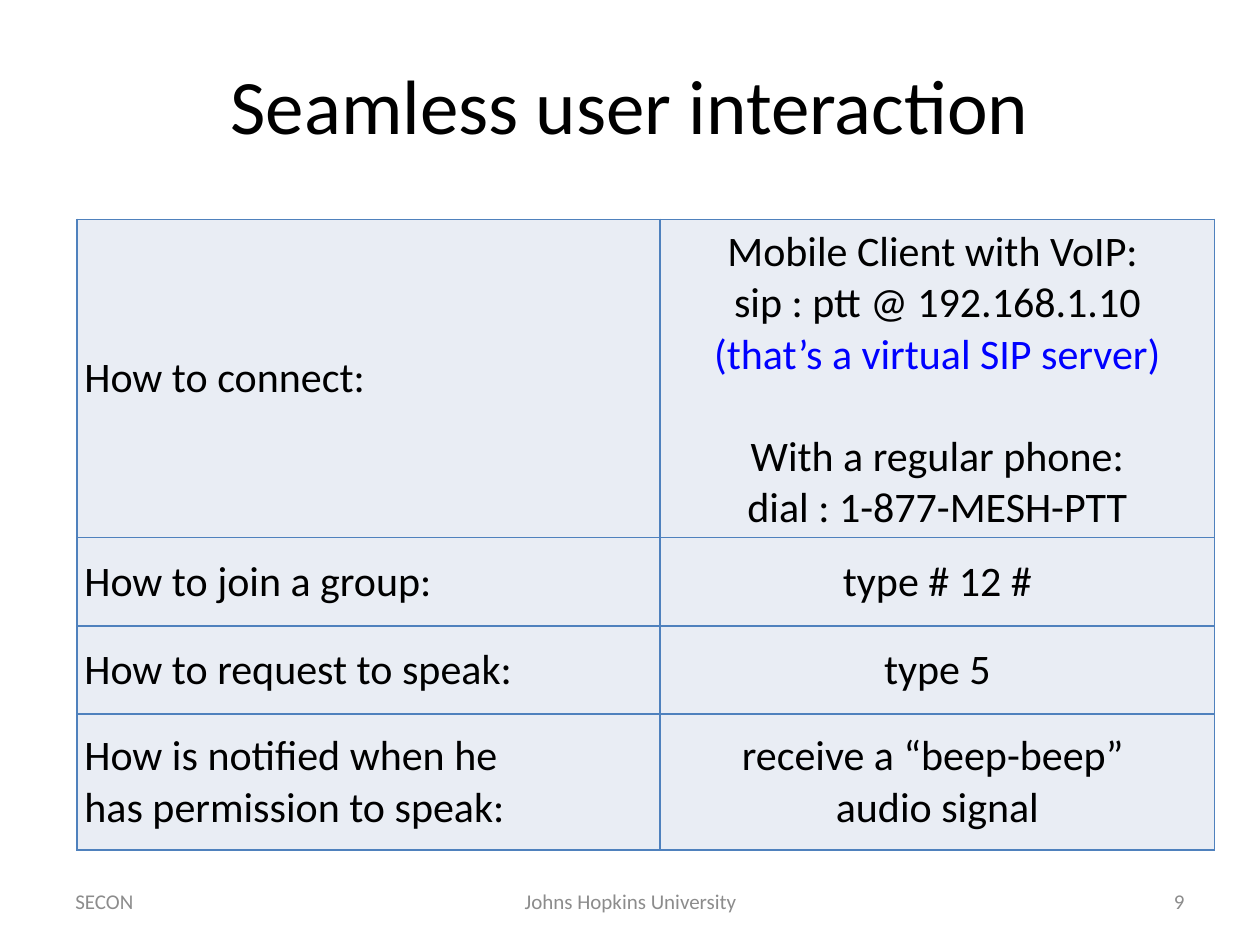
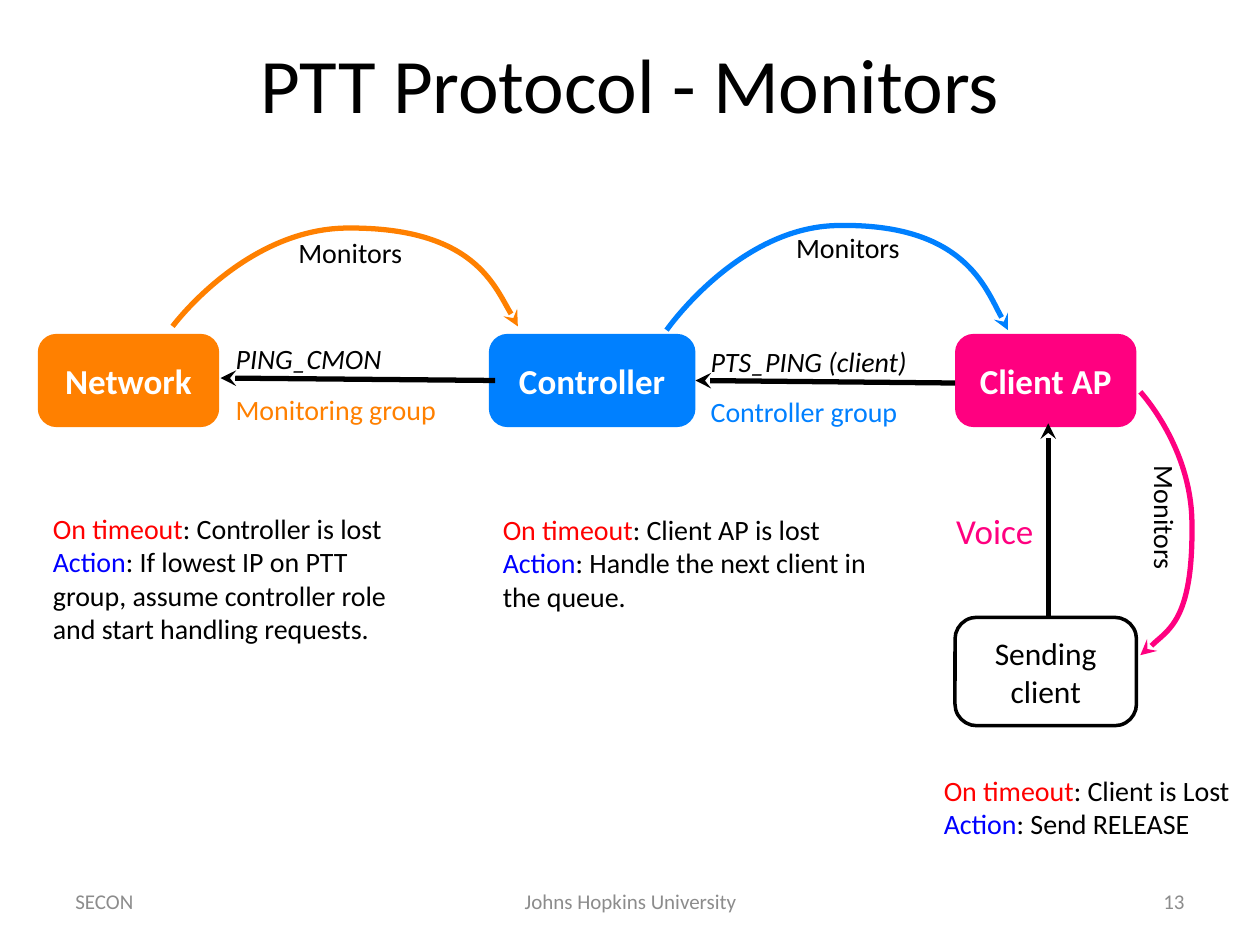
"""Build two slides on push-to-talk user interaction and protocol monitors."""
from lxml import etree
from pptx import Presentation
from pptx.dml.color import RGBColor
from pptx.enum import shapes, text
from pptx.oxml import ns
from pptx.util import Inches, Pt

COLORS = {
    "black": "000000", "white": "FFFFFF", "grey": "8C8C8C", "red": "FF0000",
    "blue": "0000FF", "network": "FF8000", "controller": "0080FF",
    "client": "FF0080", "cell": "E9EDF4", "border": "4F81BD",
}
LEFT, CENTER, RIGHT = text.PP_ALIGN.LEFT, text.PP_ALIGN.CENTER, text.PP_ALIGN.RIGHT
MIDDLE, TOP = text.MSO_ANCHOR.MIDDLE, text.MSO_ANCHOR.TOP


def rgb(name):
    return RGBColor.from_string(COLORS[name])


def inches(*values):
    return [Inches(value) for value in values]


class Deck:
    """Hold the shared style and the current slide."""

    font = "Calibri"

    def __init__(self):
        self.prs = Presentation()
        self.prs.slide_width, self.prs.slide_height = inches(10, 7.5)
        self.slide = None

    def new_slide(self, title, title_height, number):
        self.slide = self.prs.slides.add_slide(self.prs.slide_layouts[5])
        heading = self.slide.shapes.title
        heading.left, heading.top, heading.width, heading.height = inches(0.5, 0.2, 9, title_height)
        heading.text_frame.vertical_anchor = MIDDLE
        self.add_text(heading.text_frame, [[(title, "black")]], 44, CENTER)
        for words, left, width, align in (("SECON", 0.5, 2.33, LEFT),
                                          ("Johns Hopkins University", 3.42, 3.17, CENTER),
                                          (str(number), 7.17, 2.33, RIGHT)):
            self.label([[(words, "grey")]], (left, 6.95, width, 0.4), 12, align, inset=None)

    def add_text(self, frame, paragraphs, size, align=LEFT, bold=False, spacing=None):
        for index, runs in enumerate(paragraphs):
            paragraph = frame.paragraphs[0] if index == 0 else frame.add_paragraph()
            paragraph.alignment = align
            if spacing:
                paragraph.line_spacing = spacing
            for words, color, *italic in runs:
                for part, line in enumerate(words.split("\n")):
                    if part:
                        paragraph.add_line_break()
                    run = paragraph.add_run()
                    run.text = line
                    run.font.name, run.font.size = self.font, Pt(size)
                    run.font.bold, run.font.italic = bold, bool(italic)
                    run.font.color.rgb = rgb(color)

    def set_insets(self, frame, inset):
        frame.margin_left = frame.margin_right = Inches(inset)
        frame.margin_top = frame.margin_bottom = Inches(inset)

    def label(self, paragraphs, place, size=16, align=LEFT, inset=0, spacing=None):
        box = self.slide.shapes.add_textbox(*inches(*place))
        frame = box.text_frame
        frame.word_wrap, frame.vertical_anchor = True, MIDDLE
        if inset is not None:
            self.set_insets(frame, inset)
        self.add_text(frame, paragraphs, size, align, spacing=spacing)
        return box

    def monitors(self, left, top, rotation=0):
        box = self.label([[("Monitors", "black")]], (left, top, 1.03, 0.37), inset=None)
        box.text_frame.word_wrap, box.text_frame.vertical_anchor = False, TOP
        box.text_frame.auto_size = text.MSO_AUTO_SIZE.SHAPE_TO_FIT_TEXT
        box.rotation = rotation

    def timeout(self, lost, action, place):
        self.label([[("On timeout", "red"), (f": {lost}", "black")],
                    [("Action", "blue"), (f": {action}", "black")]], place, inset=0.24)

    def node(self, lines, place, fill=None):
        node = self.slide.shapes.add_shape(shapes.MSO_SHAPE.ROUNDED_RECTANGLE, *inches(*place))
        node.shadow.inherit = False
        node.adjustments[0] = 0.2
        if fill:
            node.fill.solid()
            node.fill.fore_color.rgb = rgb(fill)
            node.line.fill.background()
        else:
            node.fill.background()
            node.line.color.rgb, node.line.width = rgb("black"), Pt(2)
        node.text_frame.vertical_anchor = MIDDLE
        self.set_insets(node.text_frame, 0)
        color, size = ("white", 20) if fill else ("black", 18)
        self.add_text(node.text_frame, [[(line, color)] for line in lines], size, CENTER,
                      bold=bool(fill))

    def stroke(self, shape, color, end):
        shape.line.color.rgb, shape.line.width = rgb(color), Pt(3)
        outline = shape._element.spPr.find(ns.qn("a:ln"))
        etree.SubElement(outline, ns.qn(f"a:{end}"), type="stealth")

    def arrow(self, head, start):
        arrow = self.slide.shapes.add_connector(
            shapes.MSO_CONNECTOR.STRAIGHT, *inches(*head, *start))
        self.stroke(arrow, "black", "headEnd")
        etree.SubElement(arrow._element.spPr, ns.qn("a:effectLst"))

    def curve(self, start, crest_control, crest, fall_control, end, color):
        builder = self.slide.shapes.build_freeform(*inches(*start))
        points = (start, crest_control, crest, fall_control, end, end)
        builder.add_line_segments([inches(*point) for point in points], close=False)
        curve = builder.convert_to_shape()
        curve.shadow.inherit = False
        curve.fill.background()
        self.stroke(curve, color, "tailEnd")
        outline = curve._element.find(".//" + ns.qn("a:path"))
        segments = outline.findall(ns.qn("a:lnTo"))
        for first in (0, 3):
            bezier = etree.SubElement(outline, ns.qn("a:cubicBezTo"))
            for segment in segments[first:first + 3]:
                bezier.append(segment[0])
                outline.remove(segment)

    def table(self, rows, place, widths, heights):
        table = self.slide.shapes.add_table(len(rows), len(widths), *inches(*place)).table
        table.first_row = table.horz_banding = False
        for column, width in zip(table.columns, widths):
            column.width = Inches(width)
        for row, height, contents in zip(table.rows, heights, rows):
            row.height = Inches(height)
            for cell, paragraphs, align in zip(row.cells, contents, (LEFT, CENTER)):
                self.set_insets(cell, 0.06)
                cell.vertical_anchor = MIDDLE
                cell.fill.solid()
                cell.fill.fore_color.rgb = rgb("cell")
                self.add_text(cell.text_frame, paragraphs, 24, align)
                self.cell_borders(cell)
        return table

    def cell_borders(self, cell):
        properties = cell._tc.get_or_add_tcPr()
        for index, side in enumerate("LRTB"):
            border = etree.Element(ns.qn(f"a:ln{side}"), w=str(Pt(1)))
            fill = etree.SubElement(border, ns.qn("a:solidFill"))
            etree.SubElement(fill, ns.qn("a:srgbClr"), val=COLORS["border"])
            properties.insert(index, border)


def interaction_slide(deck):
    deck.new_slide("Seamless user interaction", 1.25, 9)
    connect = [[("Mobile Client with VoIP: ", "black")],
               [("sip : ptt @ 192.168.1.10", "black")],
               [("(that’s a virtual SIP server)", "blue")],
               [("With a regular phone:", "black")],
               [("dial : 1-877-MESH-PTT", "black")]]
    steps = [("How to join a group:", "type # 12 #"),
             ("How to request to speak:", "type 5"),
             ("How is notified when he \nhas permission to speak:",
              "receive a “beep-beep” \naudio signal")]
    rows = [([[("How to connect:", "black")]], connect)]
    rows += [([[(question, "black")]], [[(answer, "black")]]) for question, answer in steps]
    guide = deck.table(rows, (0.61, 1.74, 9.03, 4.98), (4.63, 4.4), (2.5, 0.7, 0.7, 1.08))
    guide.cell(0, 1).text_frame.paragraphs[3].space_before = Pt(29.3)


def monitors_slide(deck):
    deck.new_slide("PTT Protocol - Monitors", 0.91, 13)
    deck.node(["Network"], (0.3, 2.65, 1.44, 0.74), "network")
    deck.node(["Controller"], (3.88, 2.65, 1.64, 0.74), "controller")
    deck.node(["Client AP"], (7.58, 2.65, 1.44, 0.74), "client")
    deck.node(["Sending", "client"], (7.58, 4.9, 1.44, 0.86))

    deck.arrow((1.75, 3), (3.93, 3.02))
    deck.arrow((5.52, 3.02), (7.58, 3.04))
    deck.arrow((8.32, 3.36), (8.32, 4.9))
    for message, group, color, place in (
            ("PING_CMON", "Monitoring group", "network", (1.87, 2.57, 1.88, 0.82)),
            ("PTS_PING (client)", "Controller group", "controller", (5.64, 2.59, 1.78, 0.82))):
        deck.label([[(message, "black", "italic")], [(group, color)]], place, spacing=1.5)
    deck.label([[("Voice", "client")]], (7.31, 3.93, 1.17, 0.4), 20, CENTER, spacing=1.5)

    deck.curve((1.37, 2.59), (1.94, 1.82), (2.75, 1.81), (3.77, 1.8), (4.11, 2.59), "network")
    deck.curve((5.29, 2.62), (5.86, 1.8), (6.65, 1.79), (7.66, 1.77), (8, 2.62), "controller")
    deck.curve((9.05, 3.11), (9.46, 3.55), (9.46, 4.16), (9.47, 4.94), (9.05, 5.2), "client")
    deck.monitors(2.27, 1.82)
    deck.monitors(6.22, 1.78)
    deck.monitors(8.73, 3.93, rotation=90)

    deck.timeout("Controller is lost",
                 "If lowest IP on PTT group, assume controller role and start handling requests.",
                 (0.18, 3.55, 3.24, 2.08))
    deck.timeout("Client AP is lost", "Handle the next client in the queue.",
                 (3.75, 3.48, 3.55, 1.97))
    deck.timeout("Client is Lost", "Send RELEASE", (7.25, 5.89, 2.81, 1.03))


def main():
    deck = Deck()
    interaction_slide(deck)
    monitors_slide(deck)
    deck.prs.save("out.pptx")


if __name__ == "__main__":
    main()
